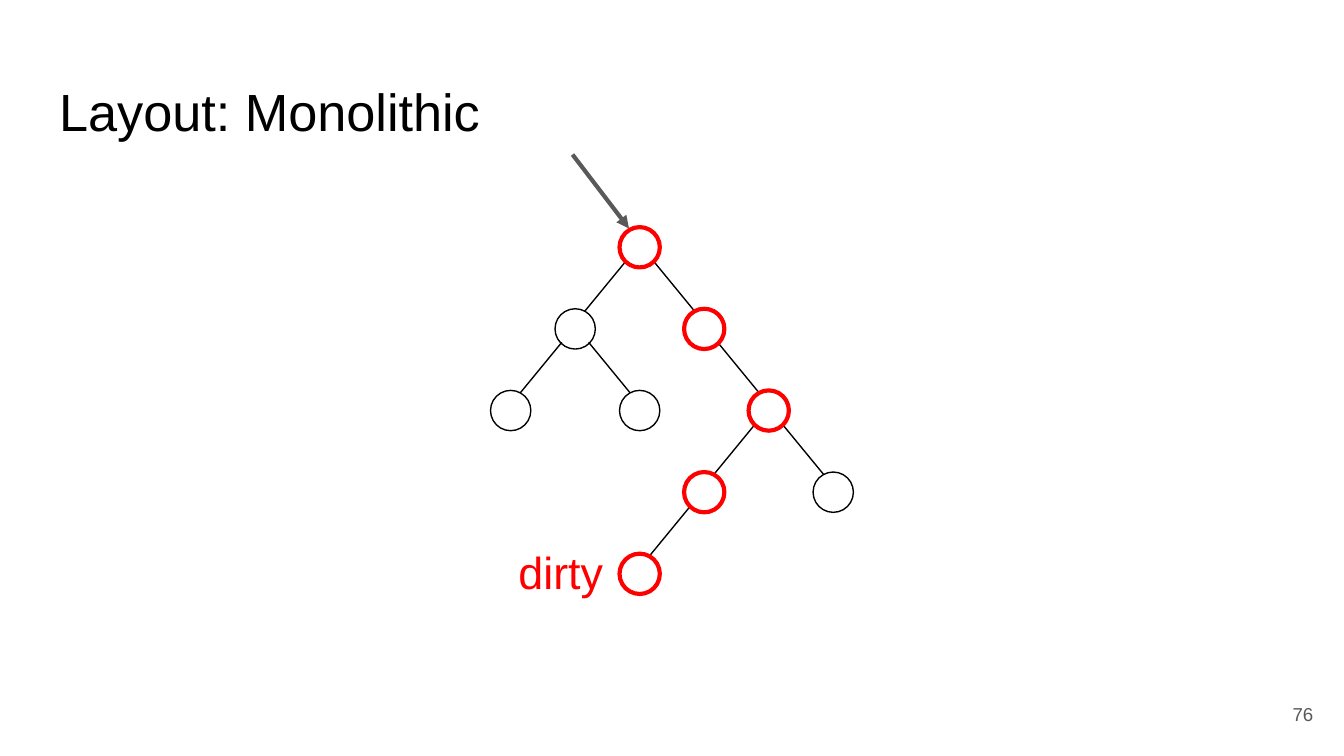
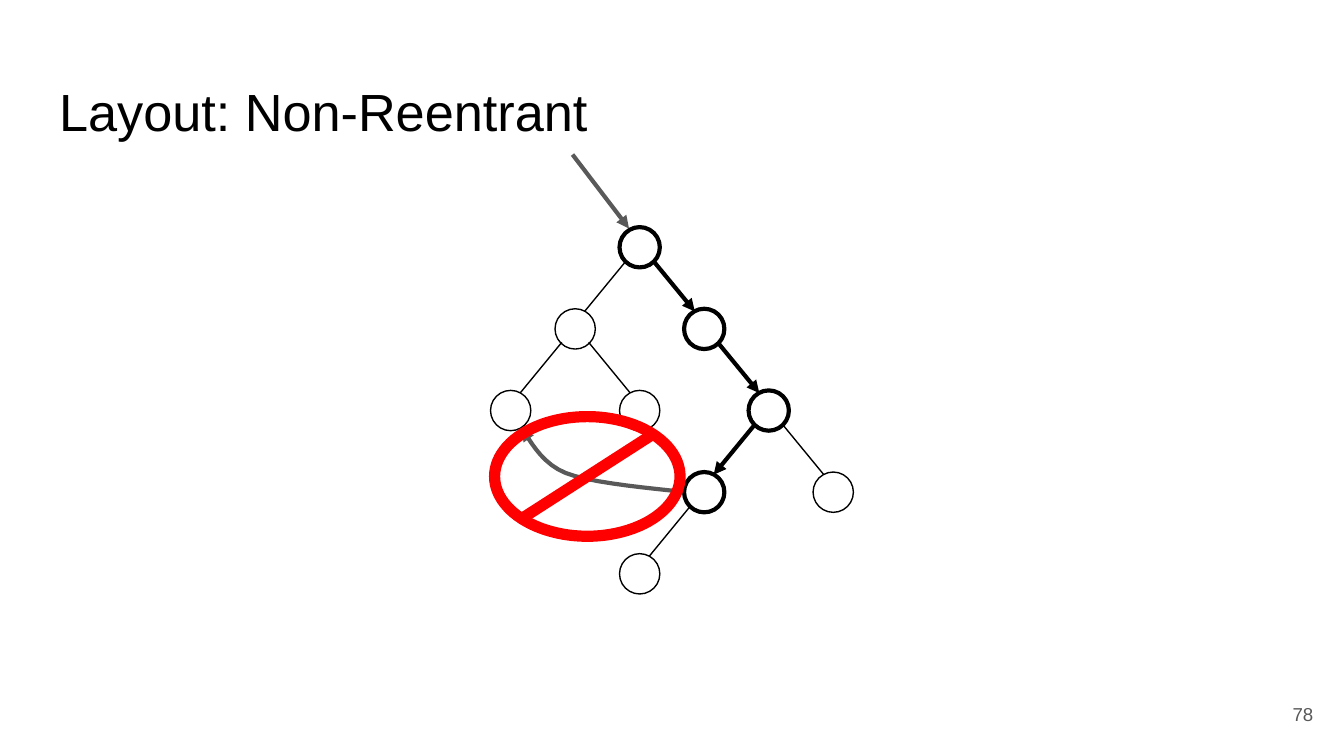
"""Build two slides on tree layouts: a dirty path and a walk that may not re-enter."""
from lxml.etree import SubElement
from pptx import Presentation
from pptx.dml.color import RGBColor
from pptx.enum.shapes import MSO_CONNECTOR, MSO_SHAPE
from pptx.enum.text import MSO_ANCHOR, MSO_AUTO_SIZE, PP_ALIGN
from pptx.oxml.ns import qn
from pptx.util import Inches, Pt

COLORS = {"ink": "000000", "grey": "595959", "red": "FF0000"}
FONT = "Arial"
THIN, BOLD, HEAVY = 0.75, 2.25, 6

NODES = {
    "root": (0, 0), "left": (-1, 1), "right": (1, 1),
    "left-left": (-2, 2), "left-right": (0, 2), "inner": (2, 2),
    "turn": (1, 3), "far": (3, 3), "leaf": (0, 4),
}
EDGES = [
    ("root", "left"), ("root", "right"), ("left", "left-left"),
    ("left", "left-right"), ("right", "inner"), ("inner", "turn"),
    ("inner", "far"), ("turn", "leaf"),
]
WALK = ["root", "right", "inner", "turn"]
SLIDES = [
    {"title": "Layout: Monolithic", "number": "76", "marked": WALK + ["leaf"],
     "mark": "red", "label": "dirty"},
    {"title": "Layout: Non-Reentrant", "number": "78", "marked": WALK,
     "mark": "ink", "walked": True},
]

ROOT_X, ROOT_Y, LEAF_Y = 4.76, 1.84, 4.27
COLUMN, ROW = 0.48, (LEAF_Y - ROOT_Y) / 4
DIAMETER = 0.3
EDGE_START, EDGE_END = (0.1, 0.1), (0.07, 0.13)
ENTRY = (4.26, 1.15), (4.68, 1.7)
JUMP = [
    ((5.08, 3.66), (4.93, 3.64), (4.41, 3.6), (4.21, 3.52)),
    ((4.21, 3.52), (4.01, 3.44), (3.93, 3.24), (3.88, 3.19)),
]
JUMP_STEPS = 10
BAN_RING = (3.68, 3.1, 1.38, 0.89)
BAN_BAR = (3.88, 3.86), (4.86, 3.23)


def color(name):
    return RGBColor.from_string(COLORS[name])


def stroke(shape, name, width, arrow=False):
    shape.line.color.rgb = color(name)
    shape.line.width = Pt(width)
    if arrow:
        SubElement(shape.line._get_or_add_ln(), qn("a:tailEnd"), type="triangle")


def write(shape, box, text, size, name, align=PP_ALIGN.LEFT, anchor=MSO_ANCHOR.TOP):
    shape.left, shape.top, shape.width, shape.height = map(Inches, box)
    frame = shape.text_frame
    frame.word_wrap = True
    frame.auto_size = MSO_AUTO_SIZE.NONE
    frame.vertical_anchor = anchor
    frame.margin_left = frame.margin_right = Inches(0.1)
    frame.margin_top = frame.margin_bottom = Inches(0.1)
    paragraph = frame.paragraphs[0]
    paragraph.alignment = align
    run = paragraph.add_run()
    run.text = text
    run.font.name, run.font.size = FONT, Pt(size)
    run.font.color.rgb = color(name)


def add_text(slide, box, *style):
    write(slide.shapes.add_textbox(0, 0, 0, 0), box, *style)


def add_line(slide, start, end, name, width, arrow=False):
    line = slide.shapes.add_connector(
        MSO_CONNECTOR.STRAIGHT, *map(Inches, (*start, *end)))
    stroke(line, name, width, arrow)
    SubElement(line._element.spPr, qn("a:effectLst"))


def add_ring(slide, box, name, width):
    ring = slide.shapes.add_shape(MSO_SHAPE.OVAL, *map(Inches, box))
    ring.fill.background()
    ring.shadow.inherit = False
    stroke(ring, name, width)


def center(node):
    column, row = NODES[node]
    return ROOT_X + column * COLUMN, ROOT_Y + row * ROW


def add_tree(slide, marked, mark, walked):
    for parent, child in EDGES:
        (x1, y1), (x2, y2) = center(parent), center(child)
        side = 1 if x2 > x1 else -1
        start = x1 + side * EDGE_START[0], y1 + EDGE_START[1]
        end = x2 - side * EDGE_END[0], y2 - EDGE_END[1]
        on_walk = walked and parent in marked and child in marked
        add_line(slide, start, end, "ink", BOLD if on_walk else THIN, on_walk)
    for node in NODES:
        x, y = center(node)
        box = (x - DIAMETER / 2, y - DIAMETER / 2, DIAMETER, DIAMETER)
        add_ring(slide, box, *((mark, BOLD) if node in marked else ("ink", THIN)))
    add_line(slide, *ENTRY, "grey", BOLD, True)


def bezier(controls, t):
    weights = ((1 - t) ** 3, 3 * t * (1 - t) ** 2, 3 * t ** 2 * (1 - t), t ** 3)
    return tuple(Inches(sum(w * c for w, c in zip(weights, axis)))
                 for axis in zip(*controls))


def add_banned_jump(slide):
    points = [bezier(piece, step / JUMP_STEPS)
              for piece in JUMP for step in range(1, JUMP_STEPS + 1)]
    builder = slide.shapes.build_freeform(*map(Inches, JUMP[0][0]))
    builder.add_line_segments(points, close=False)
    jump = builder.convert_to_shape()
    jump.fill.background()
    jump.shadow.inherit = False
    stroke(jump, "grey", BOLD, True)
    add_ring(slide, BAN_RING, "red", HEAVY)
    add_line(slide, *BAN_BAR, "red", HEAVY)


def main():
    deck = Presentation()
    deck.slide_width = Inches(10)
    deck.slide_height = deck.slide_width * 9 // 16
    for content in SLIDES:
        slide = deck.slides.add_slide(deck.slide_layouts[5])
        write(slide.shapes.title, (0.34, 0.49, 9.32, 0.63), content["title"], 28, "ink")
        add_text(slide, (9.27, 5.1, 0.6, 0.43), content["number"], 10, "grey",
                 PP_ALIGN.RIGHT, MSO_ANCHOR.MIDDLE)
        walked = content.get("walked", False)
        add_tree(slide, content["marked"], content["mark"], walked)
        if "label" in content:
            add_text(slide, (3.76, 3.95, 0.9, 0.63), content["label"], 24, "red")
        if walked:
            add_banned_jump(slide)
    deck.save("out.pptx")


if __name__ == "__main__":
    main()
